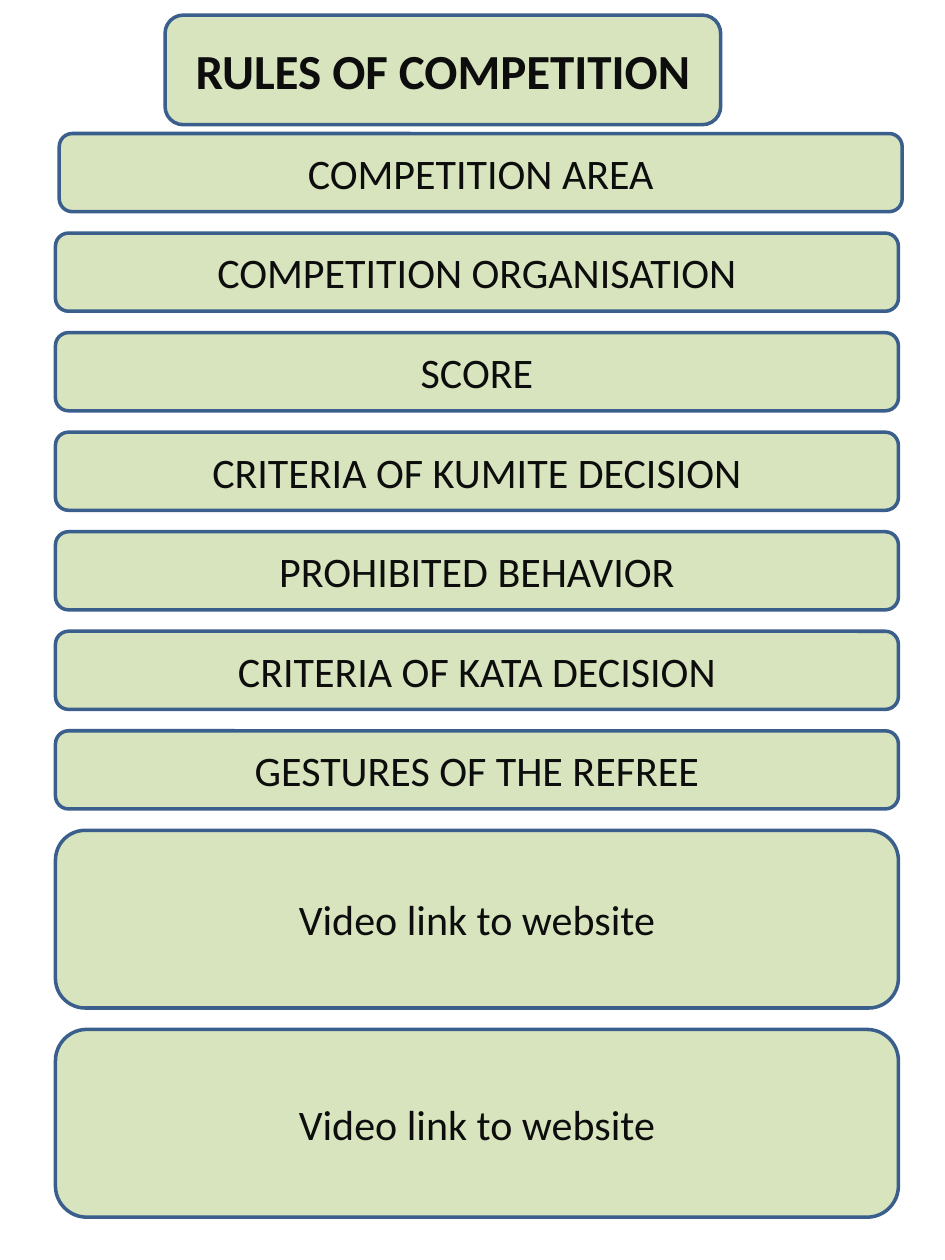
from dataclasses import dataclass

from pptx import Presentation
from pptx.dml.color import RGBColor
from pptx.enum.shapes import MSO_SHAPE
from pptx.enum.text import MSO_ANCHOR, PP_ALIGN
from pptx.slide import Slide
from pptx.util import Inches, Pt


@dataclass(frozen=True)
class Theme:
    fill: RGBColor = RGBColor(0xD7, 0xE4, 0xBD)
    outline: RGBColor = RGBColor(0x3A, 0x5F, 0x8C)
    text: RGBColor = RGBColor(0x0D, 0x0D, 0x0D)
    font: str = "Calibri"
    title_size: int = 28
    topic_size: int = 24
    outline_width: int = 2


@dataclass(frozen=True)
class Panel:
    text: str
    left: float
    top: float
    width: float
    height: float
    size: int
    bold: bool = False


THEME = Theme()
TOPICS = [
    "COMPETITION AREA",
    "COMPETITION ORGANISATION",
    "SCORE",
    "CRITERIA OF KUMITE DECISION",
    "PROHIBITED BEHAVIOR",
    "CRITERIA OF KATA DECISION",
    "GESTURES OF THE REFREE",
]
VIDEO_TEXT = "Video link to website"
VIDEO_HEIGHTS = [1.41, 1.49]
LEFT, FIRST_LEFT, WIDTH = 0.44, 0.47, 6.69
FIRST_TOP, PITCH, TOPIC_HEIGHT = 1.06, 0.79, 0.62


def draw_panel(page: Slide, panel: Panel) -> None:
    box = page.shapes.add_shape(
        MSO_SHAPE.ROUNDED_RECTANGLE,
        Inches(panel.left), Inches(panel.top), Inches(panel.width), Inches(panel.height),
    )
    box.shadow.inherit = False
    box.fill.solid()
    box.fill.fore_color.rgb = THEME.fill
    box.line.color.rgb = THEME.outline
    box.line.width = Pt(THEME.outline_width)
    frame = box.text_frame
    frame.word_wrap = True
    frame.vertical_anchor = MSO_ANCHOR.MIDDLE
    para = frame.paragraphs[0]
    para.alignment = PP_ALIGN.CENTER
    span = para.add_run()
    span.text = panel.text
    span.font.name = THEME.font
    span.font.size = Pt(panel.size)
    span.font.bold = panel.bold
    span.font.color.rgb = THEME.text


def build_panels() -> list[Panel]:
    panels = [Panel("RULES OF COMPETITION", 1.31, 0.12, 4.41, 0.87, THEME.title_size, True)]
    for row, topic in enumerate(TOPICS):
        left = FIRST_LEFT if row == 0 else LEFT
        top = FIRST_TOP + row * PITCH
        panels.append(Panel(topic, left, top, WIDTH, TOPIC_HEIGHT, THEME.topic_size))
    for index, height in enumerate(VIDEO_HEIGHTS):
        top = FIRST_TOP + (len(TOPICS) + 2 * index) * PITCH
        panels.append(Panel(VIDEO_TEXT, LEFT, top, WIDTH, height, THEME.topic_size))
    return panels


def main() -> None:
    deck = Presentation()
    deck.slide_width = Inches(7.5)
    deck.slide_height = Inches(10)
    page = deck.slides.add_slide(deck.slide_layouts[6])
    for panel in build_panels():
        draw_panel(page, panel)
    deck.save("out.pptx")


if __name__ == "__main__":
    main()
